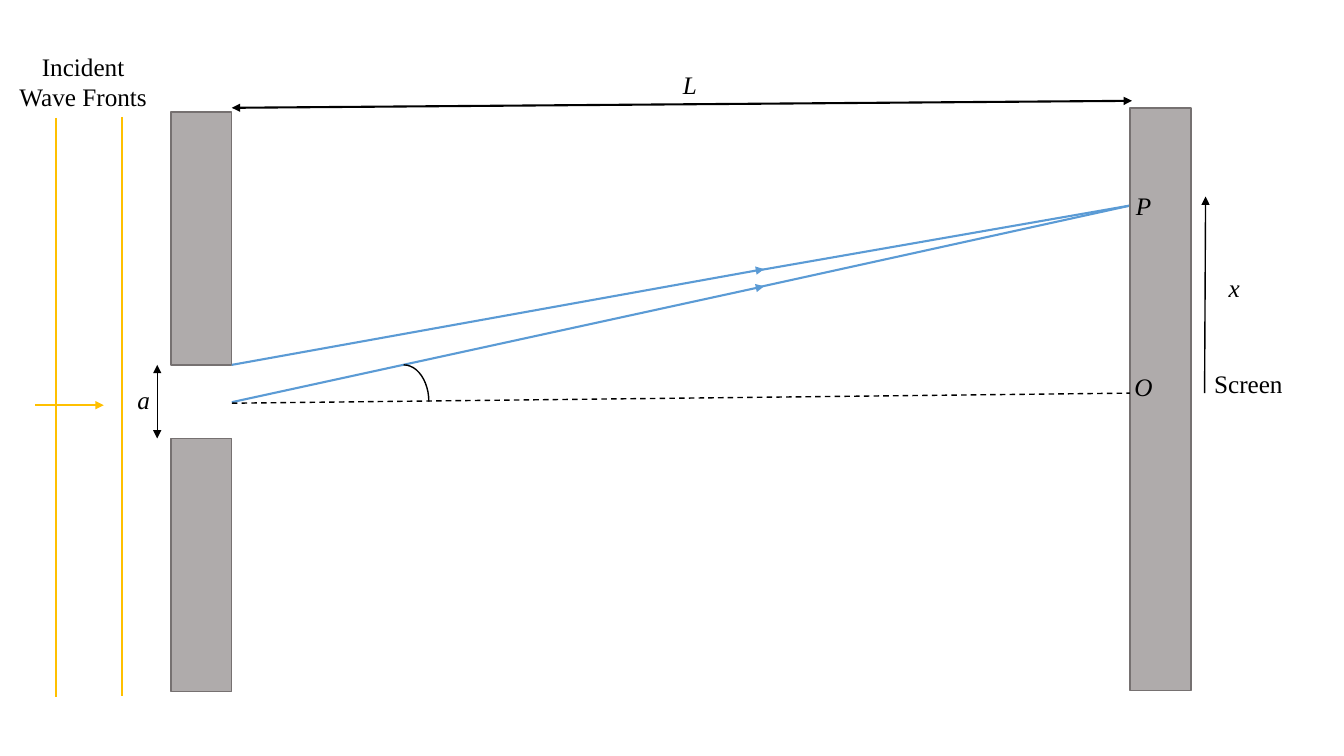
from pptx import Presentation
from pptx.dml.color import RGBColor
from pptx.enum.dml import MSO_LINE
from pptx.enum.shapes import MSO_CONNECTOR, MSO_SHAPE
from pptx.enum.text import MSO_AUTO_SIZE, PP_ALIGN
from pptx.oxml.ns import qn
from pptx.util import Inches, Pt
from lxml import etree

STRAIGHT = MSO_CONNECTOR.STRAIGHT
RECTANGLE = MSO_SHAPE.RECTANGLE
ARC = MSO_SHAPE.ARC
DASH = MSO_LINE.DASH
CENTER = PP_ALIGN.CENTER
GROW = MSO_AUTO_SIZE.SHAPE_TO_FIT_TEXT

BLACK = RGBColor(0x00, 0x00, 0x00)
WALL_FILL = RGBColor(0xAF, 0xAB, 0xAB)
WALL_EDGE = RGBColor(0x76, 0x71, 0x71)
RAY_BLUE = RGBColor(0x5B, 0x9B, 0xD5)
WAVE_GOLD = RGBColor(0xFF, 0xC0, 0x00)

COLUMNS, ROWS = 133.33, 75
CELL = Inches(0.1)
WALL_WIDTH = 6.05
LABEL_WIDTH = 14.7
LABEL_HEIGHT = 4
BARRIER_LEFT, BARRIER_RIGHT = 16.95, 23
SCREEN_LEFT = 112.1
SLIT_TOP, SLIT_BOTTOM = 36.2, 43.5
BARRIER_HEIGHT = 25.1


def grid(*cells):
    return [round(cell * CELL) for cell in cells]


class Diagram:
    font_name = "Times New Roman"
    font_size = Pt(18)

    def __init__(self, slide):
        self.slide = slide

    def wall(self, left, top, height):
        shape = self.slide.shapes.add_shape(
            RECTANGLE, *grid(left, top, WALL_WIDTH, height))
        shape.shadow.inherit = False
        shape.fill.solid()
        shape.fill.fore_color.rgb = WALL_FILL
        shape.line.color.rgb = WALL_EDGE
        shape.line.width = Pt(1)

    def arc(self, left, top, width, height):
        shape = self.slide.shapes.add_shape(ARC, *grid(left, top, width, height))
        shape.shadow.inherit = False
        shape.fill.background()
        shape.line.color.rgb = BLACK
        shape.line.width = Pt(1)

    def line(self, start, end, color=BLACK, width=1, dash=None, arrows=()):
        connector = self.slide.shapes.add_connector(
            STRAIGHT, *grid(*start, *end))
        connector.line.color.rgb = color
        connector.line.width = Pt(width)
        if dash:
            connector.line.dash_style = dash
        properties = connector._element.spPr
        outline = properties.find(qn("a:ln"))
        for arrow in arrows:
            etree.SubElement(outline, qn(f"a:{arrow}End")).set("type", "triangle")
        etree.SubElement(properties, qn("a:effectLst"))

    def label(self, text, left, top, height=LABEL_HEIGHT, italic=True):
        shape = self.slide.shapes.add_textbox(
            *grid(left, top, LABEL_WIDTH, height))
        frame = shape.text_frame
        frame.word_wrap = True
        frame.auto_size = GROW
        paragraph = frame.paragraphs[0]
        paragraph.alignment = CENTER
        run = paragraph.add_run()
        run.text = text
        run.font.name = self.font_name
        run.font.size = self.font_size
        run.font.italic = italic
        run.font.color.rgb = BLACK


def main():
    presentation = Presentation()
    presentation.slide_width, presentation.slide_height = grid(COLUMNS, ROWS)
    diagram = Diagram(presentation.slides.add_slide(presentation.slide_layouts[6]))
    both_ends = ("head", "tail")

    for top in (SLIT_BOTTOM, SLIT_TOP - BARRIER_HEIGHT):
        diagram.wall(BARRIER_LEFT, top, BARRIER_HEIGHT)

    point_p = (112.35, 20.35)
    for start, middle, resume in (
        ((BARRIER_RIGHT, SLIT_TOP), (75.8, 26.7), (75.1, 26.85)),
        ((BARRIER_RIGHT, 39.9), (75.8, 28.4), (75, 28.55)),
    ):
        diagram.line(start, middle, RAY_BLUE, 1.5, arrows=("tail",))
        diagram.line(resume, point_p, RAY_BLUE, 1.5)

    diagram.line((BARRIER_RIGHT, 10.7), (112.3, 10), width=1.5, arrows=both_ends)
    diagram.wall(SCREEN_LEFT, 10.7, 57.8)
    diagram.line((BARRIER_RIGHT, 40), (SCREEN_LEFT, 39), dash=DASH)
    diagram.arc(37.55, SLIT_TOP, 5, 7.3)
    diagram.line((15.6, SLIT_TOP), (15.6, SLIT_BOTTOM), arrows=both_ends)
    diagram.line((119.5, 39), (119.6, 19.5), arrows=("tail",))

    for column, top in ((12.1, 11.6), (5.55, 11.7)):
        diagram.line((column, top), (column, top + 57.4), WAVE_GOLD, 1.5)
    diagram.line((3.5, 40.2), (10.3, 40.2), WAVE_GOLD, 1.5, arrows=("tail",))

    for text, left, top in (
        ("L", 61.1, 6.4),
        ("a", 6.9, 37.6),
        ("x", 115.1, 26.5),
        ("O", 106.1, 36.3),
        ("P", 106.1, 18.4),
    ):
        diagram.label(text, left, top)
    diagram.label("Incident Wave Fronts", 0.9, 4.6, height=7.1, italic=False)
    diagram.label("Screen", 116.5, 36.1, italic=False)

    presentation.save("out.pptx")


if __name__ == "__main__":
    main()
